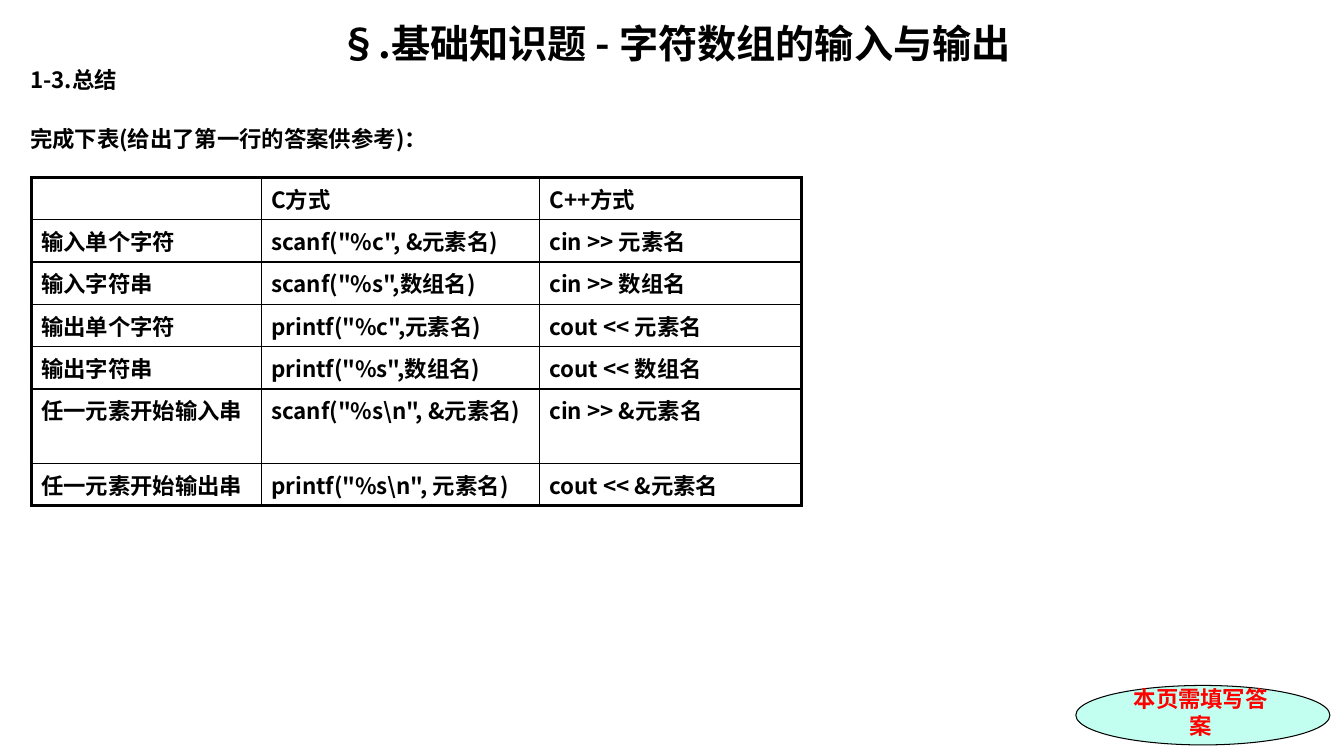
from lxml.etree import SubElement
from pptx import Presentation
from pptx.dml.color import RGBColor
from pptx.enum.shapes import MSO_SHAPE
from pptx.enum.text import MSO_ANCHOR, PP_ALIGN
from pptx.oxml.ns import qn
from pptx.util import Inches, Pt

HEADING = [
    # text, size, alignment, space before
    ("§.基础知识题 - 字符数组的输入与输出", "title", PP_ALIGN.CENTER, 0),
    ("1-3.总结", "body", PP_ALIGN.JUSTIFY, 0),
    ("完成下表(给出了第一行的答案供参考)：", "body", PP_ALIGN.JUSTIFY, 24),
]
SUMMARY = [
    ("", "C方式", "C++方式"),
    ("输入单个字符", 'scanf("%c", &元素名)', "cin >> 元素名"),
    ("输入字符串", 'scanf("%s",数组名)', "cin >> 数组名"),
    ("输出单个字符", 'printf("%c",元素名)', "cout << 元素名"),
    ("输出字符串", 'printf("%s",数组名)', "cout << 数组名"),
    ("任一元素开始输入串", r'scanf("%s\n", &元素名)', "cin >> &元素名"),
    ("任一元素开始输出串", r'printf("%s\n", 元素名)', "cout << &元素名"),
]
REMINDER = "本页需填写答案"

COLUMN_WIDTHS = (2.28, 2.76, 2.6)
ROW_HEIGHTS = (0.42,) * 5 + (0.74, 0.42)

THEME = {
    "font": "Noto Sans CJK SC", "reminder_font": "Times New Roman",
    "title": 28, "body": 16, "heading_spacing": 0.95,
    "ink": "000000", "paper": "FFFFFF", "mint": "C2FFF0", "red": "FF0000",
    "outer": 2.25, "inner": 1, "outline": 0.75,
}


def color(name):
    return RGBColor.from_string(THEME[name])


def write(paragraph, text, size="body", ink="ink", font="font",
          align=None, before=0, spacing=None):
    paragraph.alignment = align
    paragraph.space_before = Pt(before)
    if spacing:
        paragraph.line_spacing = spacing
    if not text:
        return
    run = paragraph.add_run()
    run.text = text
    run.font.size = Pt(THEME[size])
    run.font.bold = True
    run.font.name = THEME[font]
    run.font.color.rgb = color(ink)
    east_asian = SubElement(run.font._element, qn("a:ea"))
    east_asian.set("typeface", THEME["font"])


def add_border(cell, side, weight):
    """Draw one side (L, R, T or B) of a table cell."""
    line = SubElement(cell._tc.get_or_add_tcPr(), qn(f"a:ln{side}"))
    line.set("w", str(Pt(THEME[weight])))
    fill = SubElement(line, qn("a:solidFill"))
    SubElement(fill, qn("a:srgbClr")).set("val", THEME["ink"])


def add_heading(slide):
    box = slide.shapes.add_textbox(
        Inches(0.2), Inches(0.18), Inches(12.99), Inches(7.09))
    frame = box.text_frame
    frame.word_wrap = True
    for index, (text, size, align, before) in enumerate(HEADING):
        paragraph = frame.add_paragraph() if index else frame.paragraphs[0]
        write(paragraph, text, size, align=align, before=before,
              spacing=THEME["heading_spacing"])


def add_summary(slide):
    rows, columns = len(SUMMARY), len(COLUMN_WIDTHS)
    table = slide.shapes.add_table(
        rows, columns, Inches(0.31), Inches(1.76),
        Inches(sum(COLUMN_WIDTHS)), Inches(sum(ROW_HEIGHTS))).table
    table.first_row = table.horz_banding = False
    for column, width in zip(table.columns, COLUMN_WIDTHS):
        column.width = Inches(width)
    for row, height in zip(table.rows, ROW_HEIGHTS):
        row.height = Inches(height)
    for r, entries in enumerate(SUMMARY):
        for c, entry in enumerate(entries):
            cell = table.cell(r, c)
            on_edge = {"L": c == 0, "R": c == columns - 1,
                       "T": r == 0, "B": r == rows - 1}
            for side, outer in on_edge.items():
                add_border(cell, side, "outer" if outer else "inner")
            cell.fill.solid()
            cell.fill.fore_color.rgb = color("paper")
            write(cell.text_frame.paragraphs[0], entry)


def add_reminder(slide):
    oval = slide.shapes.add_shape(
        MSO_SHAPE.OVAL, Inches(10.67), Inches(6.8), Inches(2.52), Inches(0.59))
    oval.shadow.inherit = False
    oval.fill.solid()
    oval.fill.fore_color.rgb = color("mint")
    oval.line.color.rgb = color("ink")
    oval.line.width = Pt(THEME["outline"])
    frame = oval.text_frame
    frame.vertical_anchor = MSO_ANCHOR.MIDDLE
    frame.margin_right = Inches(0.14)
    frame.margin_bottom = Inches(0.11)
    write(frame.paragraphs[0], REMINDER, ink="red",
          font="reminder_font", align=PP_ALIGN.CENTER)


def main():
    deck = Presentation()
    deck.slide_width, deck.slide_height = Inches(13.33), Inches(7.5)
    slide = deck.slides.add_slide(deck.slide_layouts[6])
    add_heading(slide)
    add_summary(slide)
    add_reminder(slide)
    deck.save("out.pptx")


if __name__ == "__main__":
    main()
